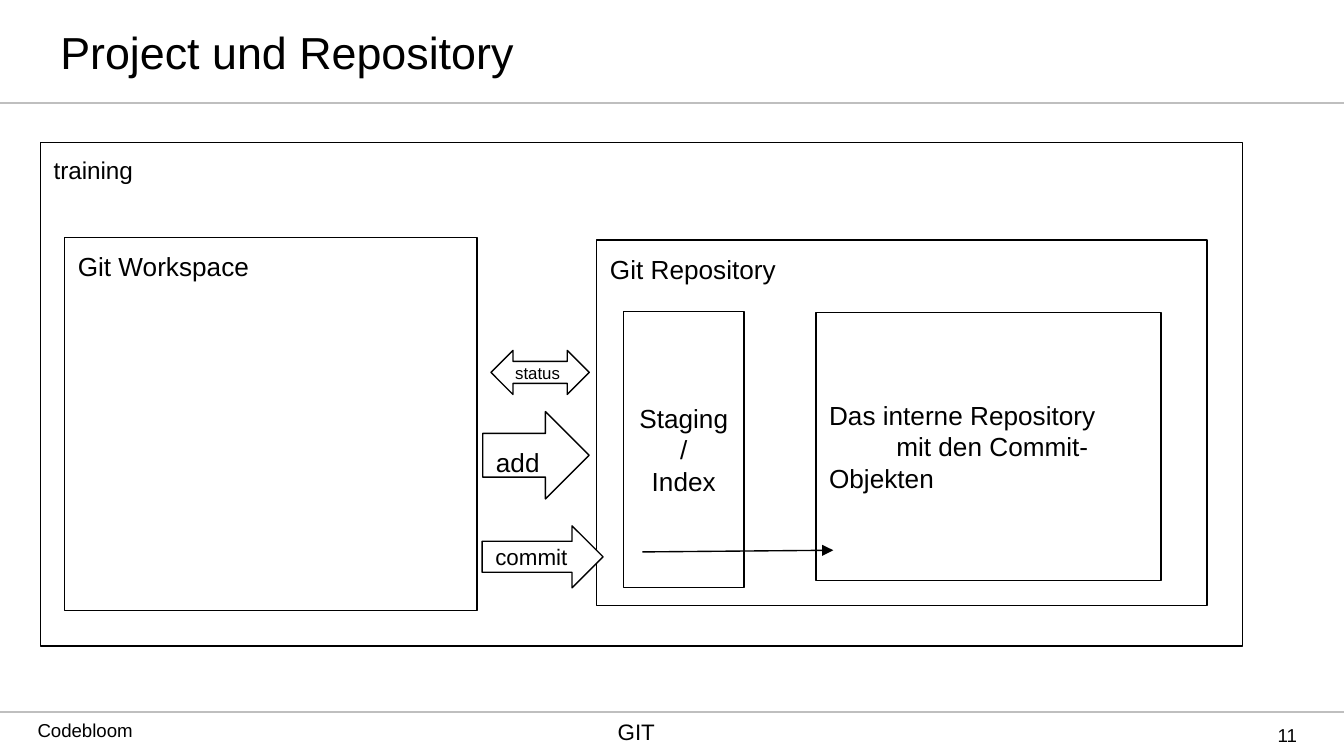
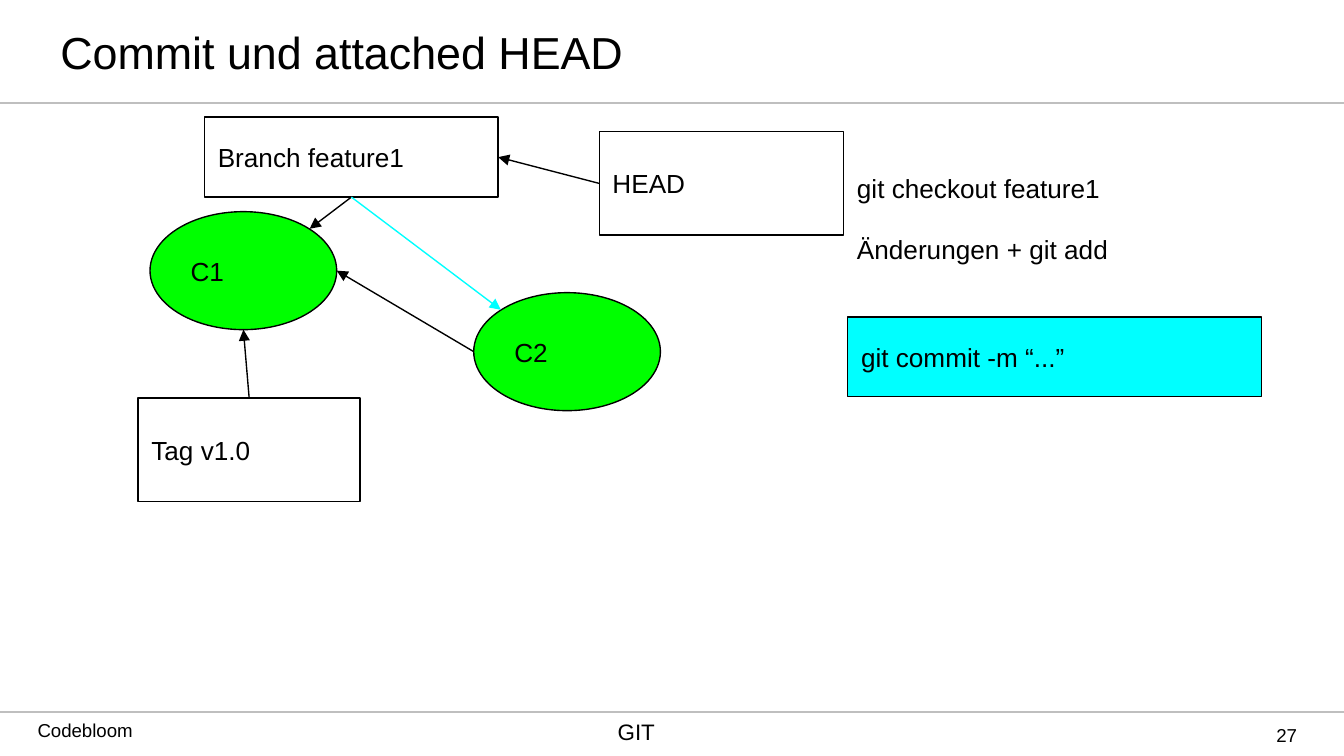
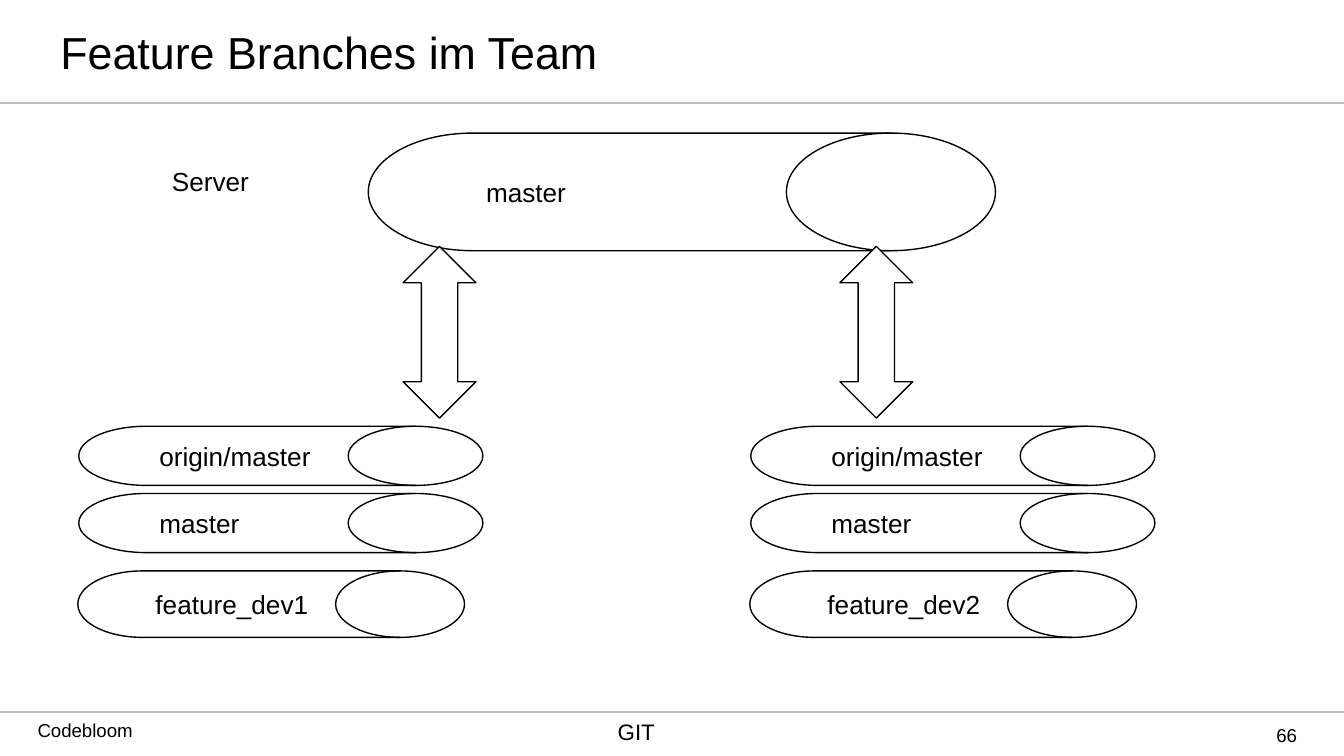
from lxml import etree
from pptx import Presentation
from pptx.dml.color import RGBColor
from pptx.enum.shapes import MSO_CONNECTOR, MSO_SHAPE
from pptx.enum.text import MSO_ANCHOR, PP_ALIGN
from pptx.oxml.ns import qn
from pptx.util import Pt

RECTANGLE = MSO_SHAPE.RECTANGLE
ELLIPSE = MSO_SHAPE.OVAL
DRUM = MSO_SHAPE.FLOWCHART_DIRECT_ACCESS_STORAGE
RIGHT_ARROW = MSO_SHAPE.RIGHT_ARROW
LEFT_RIGHT_ARROW = MSO_SHAPE.LEFT_RIGHT_ARROW
UP_DOWN_ARROW = MSO_SHAPE.UP_DOWN_ARROW
STRAIGHT = MSO_CONNECTOR.STRAIGHT
ANCHOR_TOP, ANCHOR_MIDDLE = MSO_ANCHOR.TOP, MSO_ANCHOR.MIDDLE
LEFT, CENTER, RIGHT = PP_ALIGN.LEFT, PP_ALIGN.CENTER, PP_ALIGN.RIGHT
SITE_TOP, SITE_LEFT, SITE_BOTTOM, SITE_RIGHT = range(4)

FONT = "Arial"
BLACK, WHITE, GRAY = "000000", "FFFFFF", "BFBFBF"
GREEN, CYAN = "00FF00", "00FFFF"
SLIDE_WIDTH, SLIDE_HEIGHT = 720, 405
HEADER_HEIGHT, FOOTER_TOP = 55.3, 381.6
DIAGONAL = 0.71


def color(value):
    return RGBColor.from_string(value)


def inside(box, left, top, width, height):
    return box[0] + left, box[1] + top, width, height


def write(shape, text, size, align=LEFT, anchor=ANCHOR_MIDDLE, insets=(7.2, 7.2), gap=0):
    frame = shape.text_frame
    frame.word_wrap = True
    frame.vertical_anchor = anchor
    frame.margin_left = frame.margin_right = Pt(insets[0])
    frame.margin_top = frame.margin_bottom = Pt(insets[1])
    frame.text = text
    for paragraph in frame.paragraphs:
        paragraph.alignment = align
        paragraph.space_after = Pt(gap)
        for run in paragraph.runs:
            run.font.name = FONT
            run.font.size = Pt(size)
            run.font.color.rgb = color(BLACK)


def add_label(slide, box, text, size, **options):
    label = slide.shapes.add_textbox(*map(Pt, box))
    write(label, text, size, **options)


def add_figure(slide, kind, box, text="", size=14, fill=WHITE, **options):
    figure = slide.shapes.add_shape(kind, *map(Pt, box))
    figure.shadow.inherit = False
    figure.fill.solid()
    figure.fill.fore_color.rgb = color(fill)
    figure.line.color.rgb = color(BLACK)
    figure.line.width = Pt(0.75)
    if text:
        write(figure, text, size, **options)
    return figure


def add_line(slide, start, end, line_color=BLACK, width=0.75):
    line = slide.shapes.add_connector(STRAIGHT, *map(Pt, (*start, *end)))
    line.line.color.rgb = color(line_color)
    line.line.width = Pt(width)
    etree.SubElement(line._element.spPr, qn("a:effectLst"))
    return line


def add_arrow(slide, start, end, line_color=BLACK):
    arrow = add_line(slide, start, end, line_color)
    outline = arrow.line._get_or_add_ln()
    etree.SubElement(outline, qn("a:tailEnd"), type="triangle")
    return arrow


def add_arrow_from(slide, shape, site, end, line_color=BLACK):
    arrow = add_arrow(slide, (0, 0), end, line_color)
    arrow.begin_connect(shape, site)
    return arrow


def add_base_slide(presentation, title, number):
    slide = presentation.slides.add_slide(presentation.slide_layouts[6])
    for top in (FOOTER_TOP, HEADER_HEIGHT):
        add_line(slide, (0, top), (SLIDE_WIDTH, top), GRAY, 1)
    add_label(slide, (13, 385.2, 140.4, 16), "Codebloom", 10, anchor=ANCHOR_TOP, insets=(7.2, 0))
    add_label(slide, (228.2, 384.5, 225.4, 20), "GIT", 12, align=CENTER, anchor=ANCHOR_TOP, insets=(7.2, 0))
    add_label(slide, (25.2, 0, 447.8, HEADER_HEIGHT), title, 24, insets=(7.2, 3.6))
    add_label(slide, (630, FOOTER_TOP, 64.8, 24), number, 10, align=RIGHT, insets=(0, 0))
    return slide


def add_repository(slide, box):
    add_figure(slide, RECTANGLE, box, "Git Repository", anchor=ANCHOR_TOP)
    add_figure(slide, RECTANGLE, inside(box, 14.3, 38.1, 64.6, 148), "Staging\n/\nIndex", align=CENTER)
    add_figure(slide, RECTANGLE, inside(box, 117.4, 38.8, 185, 143.4),
               "Das interne Repository\n\tmit den Commit-Objekten")
    left, top = box[:2]
    add_arrow(slide, (left + 24.5, top + 167), (left + 126.7, top + 166.1))


def add_project(slide, box):
    add_figure(slide, RECTANGLE, box, "training", 13, anchor=ANCHOR_TOP)
    add_figure(slide, RECTANGLE, inside(box, 13, 51, 221, 200), "Git Workspace", anchor=ANCHOR_TOP)
    add_repository(slide, inside(box, 298.1, 52.5, 327, 195.6))
    add_figure(slide, LEFT_RIGHT_ARROW, inside(box, 241.4, 111.5, 52.7, 23.6), "status", 9)
    add_figure(slide, RIGHT_ARROW, inside(box, 237, 144.3, 57, 46.8), "add", anchor=ANCHOR_TOP)
    add_figure(slide, RIGHT_ARROW, inside(box, 236.7, 205.5, 64.8, 33.2), "commit", 12)


def add_commit_graph(slide, box):
    commit_width, commit_height = 100, 63.2
    first = inside(box, 6.4, 50.6, commit_width, commit_height)
    second = inside(box, 179.8, 94, commit_width, commit_height)

    def on_commit(commit, across, down):
        return (commit[0] + commit_width / 2 * (1 + across),
                commit[1] + commit_height / 2 * (1 + down))

    for name, commit in (("C1", first), ("C2", second)):
        add_figure(slide, ELLIPSE, commit, name, fill=GREEN)
    tag = add_figure(slide, RECTANGLE, inside(box, 0, 150.5, 119, 55.3), "Tag v1.0")
    branch = add_figure(slide, RECTANGLE, inside(box, 35.6, 0, 157.3, 42.8), "Branch feature1")
    head = add_figure(slide, RECTANGLE, inside(box, 247, 7.8, 131, 55.3), "HEAD")

    add_arrow_from(slide, tag, SITE_TOP, on_commit(first, 0, 1))
    add_arrow_from(slide, branch, SITE_BOTTOM, on_commit(first, DIAGONAL, -DIAGONAL))
    head_arrow = add_arrow_from(slide, head, SITE_LEFT, (0, 0))
    head_arrow.end_connect(branch, SITE_RIGHT)
    add_arrow(slide, on_commit(second, -1, 0), on_commit(first, 1, 0))
    add_arrow_from(slide, branch, SITE_BOTTOM, on_commit(second, -DIAGONAL, -DIAGONAL), CYAN)


def add_commands(slide, box):
    add_label(slide, inside(box, 0, 0, 227.5, 65.5), "git checkout feature1\nÄnderungen + git add", 14,
              anchor=ANCHOR_TOP, gap=16.1)
    add_figure(slide, RECTANGLE, inside(box, 2.2, 84.9, 221.6, 42.5), "git commit -m “...”", fill=CYAN)


def add_server(slide, box):
    add_label(slide, inside(box, 0, 10.1, 107.3, 31.7), "Server", 14, anchor=ANCHOR_TOP)
    add_figure(slide, DRUM, inside(box, 112.3, 0, 336, 63), "master")
    for left in (131, 365):
        add_figure(slide, UP_DOWN_ARROW, inside(box, left, 60.7, 39, 92))


def add_developer(slide, box, feature):
    for row, branch in enumerate(("origin/master", "master")):
        add_figure(slide, DRUM, inside(box, 0.5, 36 * row, 216.5, 31.7), branch)
    add_figure(slide, DRUM, inside(box, 0, 77.5, 207.2, 35.6), feature)


def main():
    presentation = Presentation()
    presentation.slide_width = Pt(SLIDE_WIDTH)
    presentation.slide_height = Pt(SLIDE_HEIGHT)

    slide = add_base_slide(presentation, "Project und Repository", "11")
    add_project(slide, (21.6, 76.2, 644, 270))

    slide = add_base_slide(presentation, "Commit und attached HEAD", "27")
    add_commit_graph(slide, (74, 62.8, 378, 206))
    add_commands(slide, (452, 85, 227.5, 127.4))

    slide = add_base_slide(presentation, "Feature Branches im Team", "66")
    add_server(slide, (85, 71.3, 448.3, 152.7))
    for column, feature in enumerate(("feature_dev1", "feature_dev2")):
        add_developer(slide, (41.7 + 360 * column, 228.4, 217, 113.1), feature)

    presentation.save("out.pptx")


if __name__ == "__main__":
    main()
